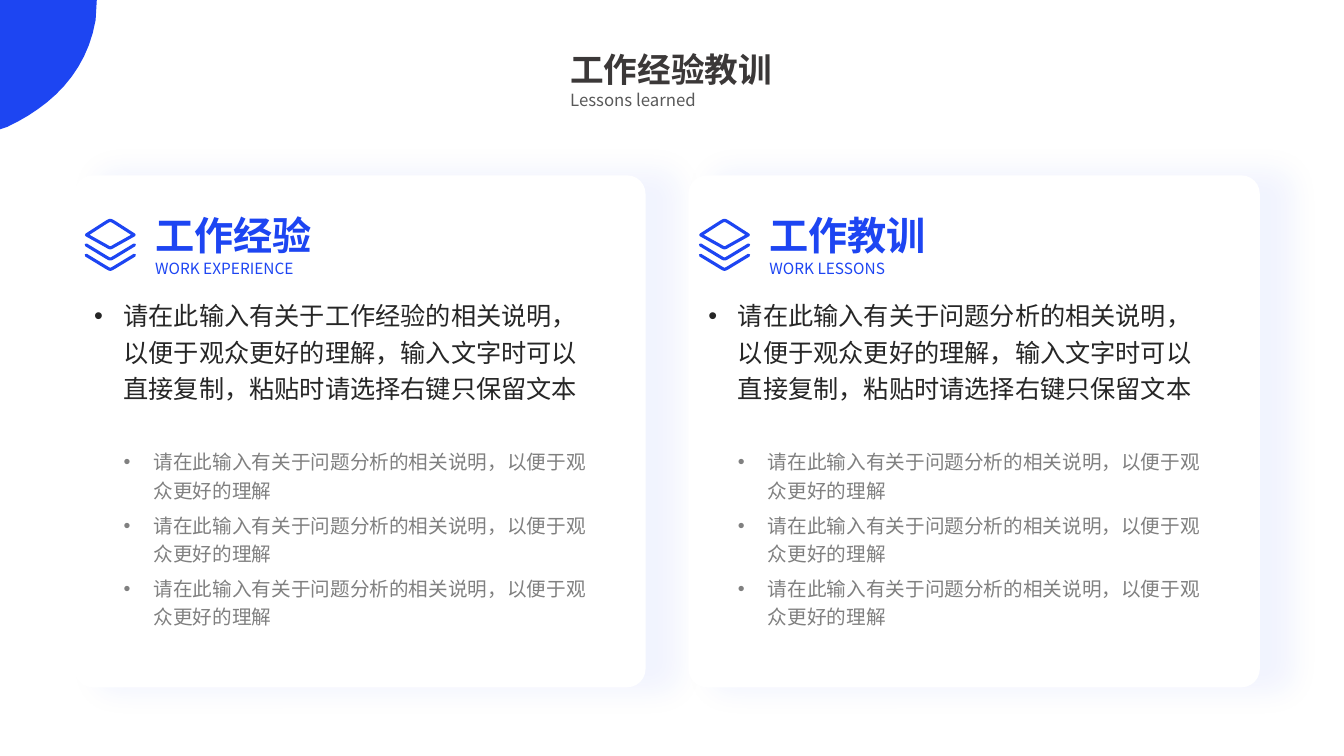
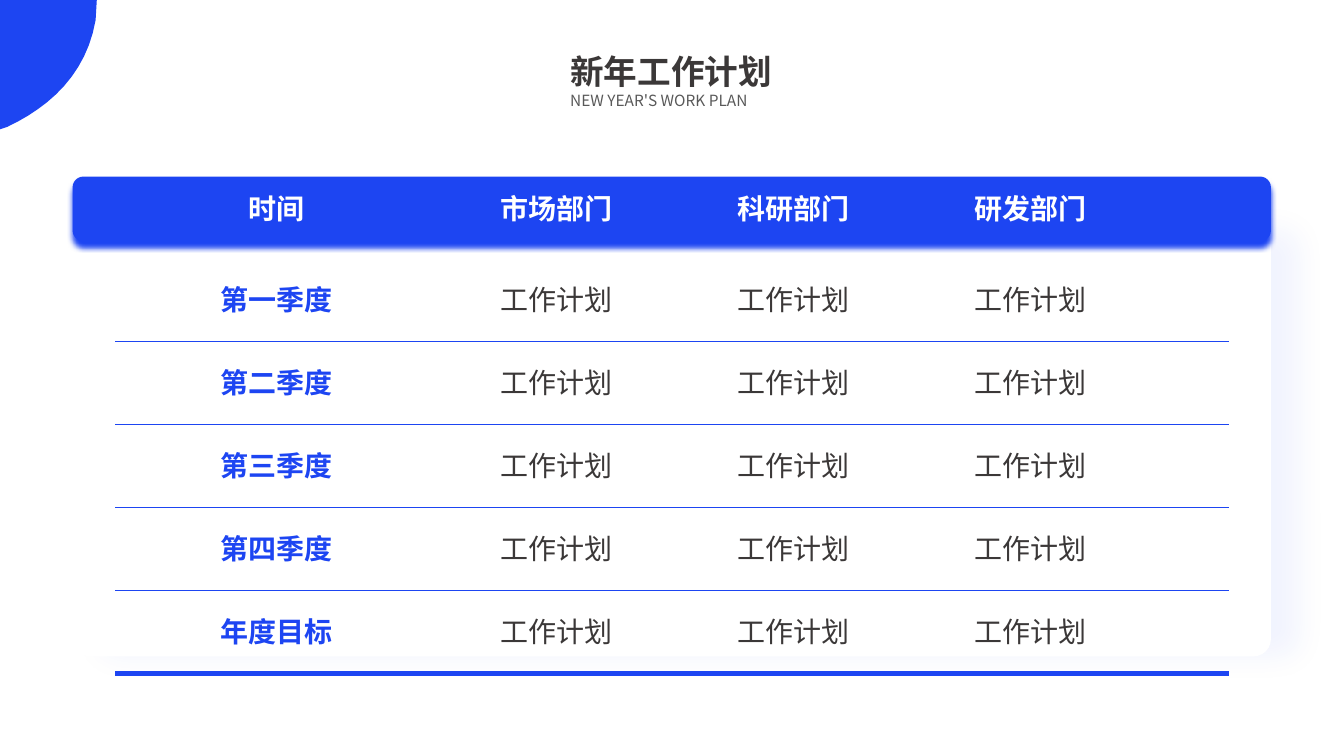
from dataclasses import dataclass

from lxml import etree
from pptx import Presentation
from pptx.dml.color import RGBColor
from pptx.enum.shapes import MSO_CONNECTOR, MSO_SHAPE
from pptx.enum.text import MSO_ANCHOR, MSO_AUTO_SIZE, PP_ALIGN
from pptx.oxml.ns import qn
from pptx.util import Cm, Pt

ROUNDED = MSO_SHAPE.ROUNDED_RECTANGLE
STRAIGHT = MSO_CONNECTOR.STRAIGHT
LEFT, CENTER = PP_ALIGN.LEFT, PP_ALIGN.CENTER
TOP, MIDDLE = MSO_ANCHOR.TOP, MSO_ANCHOR.MIDDLE
NO_AUTOFIT = MSO_AUTO_SIZE.NONE

FONT = "Noto Sans CJK SC"
BLUE = RGBColor(0x1D, 0x45, 0xF2)
WHITE = RGBColor(0xFF, 0xFF, 0xFF)
INK = RGBColor(0x3B, 0x38, 0x38)
BODY_INK = RGBColor(0x26, 0x26, 0x26)
SUBTITLE_GRAY = RGBColor(0x59, 0x59, 0x59)
DETAIL_GRAY = RGBColor(0x80, 0x80, 0x80)

CURVE_STEPS = 12
PLAIN_TABLE_STYLE = "{2D5ABB26-0587-4C30-8999-92F81FD0307C}"
DETAIL = "请在此输入有关于问题分析的相关说明，以便于观众更好的理解"


@dataclass(frozen=True)
class Shadow:
    alpha: int
    blur: float
    distance: float
    angle: int
    scale: int = 100


@dataclass(frozen=True)
class Card:
    heading: str
    caption: str
    summary: str


CARD_SHADOW = Shadow(alpha=5, blur=20, distance=20, angle=0, scale=102)
SOFT_SHADOW = Shadow(alpha=5, blur=20, distance=20, angle=0)
BAND_SHADOW = Shadow(alpha=100, blur=4, distance=4, angle=90)

CARDS = [
    Card("工作经验", "WORK EXPERIENCE",
         "请在此输入有关于工作经验的相关说明，以便于观众更好的理解，"
         "输入文字时可以直接复制，粘贴时请选择右键只保留文本"),
    Card("工作教训", "WORK LESSONS",
         "请在此输入有关于问题分析的相关说明，以便于观众更好的理解，"
         "输入文字时可以直接复制，粘贴时请选择右键只保留文本"),
]
PLAN_HEADER = ["时间", "市场部门", "科研部门", "研发部门"]
PLAN_PERIODS = ["第一季度", "第二季度", "第三季度", "第四季度", "年度目标"]
PLAN_ROWS = [PLAN_HEADER] + [[period] + ["工作计划"] * 3 for period in PLAN_PERIODS]


# Text
def write_text(paragraph, text: str, *, size: float, color: RGBColor, bold: bool = False,
               align=LEFT, line_spacing: float = 1.0, space_before: float = 0) -> None:
    paragraph.alignment = align
    paragraph.line_spacing = line_spacing
    paragraph.space_before = Pt(space_before)
    run = paragraph.add_run()
    run.text = text
    font = run.font
    font.size, font.bold, font.name = Pt(size), bold, FONT
    font.color.rgb = color
    etree.SubElement(font._element, qn("a:ea"), typeface=FONT)


def set_bullet(paragraph, margin: float, hanging: float) -> None:
    properties = paragraph._p.get_or_add_pPr()
    properties.set("marL", str(Cm(margin)))
    properties.set("indent", str(-Cm(hanging)))
    etree.SubElement(properties, qn("a:buFont"), typeface="Arial")
    etree.SubElement(properties, qn("a:buChar"), char="•")


def place(shape, left: float, top: float, width: float, height: float) -> None:
    shape.left, shape.top = Cm(left), Cm(top)
    shape.width, shape.height = Cm(width), Cm(height)


def prepare_frame(shape, anchor=TOP, inset: float | None = None):
    frame = shape.text_frame
    frame.word_wrap = True
    frame.auto_size = NO_AUTOFIT
    frame.vertical_anchor = anchor
    if inset is not None:
        frame.margin_left = frame.margin_right = Cm(inset)
        frame.margin_top = frame.margin_bottom = Cm(inset)
    return frame


def add_label(slide, left: float, top: float, width: float, height: float, text: str,
              inset: float | None = None, **text_format) -> None:
    box = slide.shapes.add_textbox(Cm(left), Cm(top), Cm(width), Cm(height))
    write_text(prepare_frame(box, inset=inset).paragraphs[0], text, **text_format)


# Shapes
def add_panel(slide, left: float, top: float, width: float, height: float,
              radius: float, color: RGBColor, shadow: Shadow) -> None:
    panel = slide.shapes.add_shape(ROUNDED, Cm(left), Cm(top), Cm(width), Cm(height))
    panel.adjustments[0] = radius
    panel.fill.solid()
    panel.fill.fore_color.rgb = color
    panel.line.fill.background()
    panel.shadow.inherit = False
    effects = panel._element.spPr.find(qn("a:effectLst"))
    scale = str(shadow.scale * 1000)
    outer = etree.SubElement(
        effects, qn("a:outerShdw"), blurRad=str(Pt(shadow.blur)), dist=str(Pt(shadow.distance)),
        dir=str(shadow.angle * 60000), sx=scale, sy=scale, algn="ctr", rotWithShape="0")
    shade = etree.SubElement(outer, qn("a:srgbClr"), val=str(BLUE))
    etree.SubElement(shade, qn("a:alpha"), val=str(shadow.alpha * 1000))


def add_rule(slide, left: float, right: float, top: float, width: float) -> None:
    rule = slide.shapes.add_connector(STRAIGHT, Cm(left), Cm(top), Cm(right), Cm(top))
    rule.line.color.rgb = BLUE
    rule.line.width = Pt(width)
    etree.SubElement(rule._element.spPr, qn("a:effectLst"))


def curve(start, control_1, control_2, end) -> list[tuple[float, float]]:
    """Points along a cubic Bezier curve."""
    points = []
    for step in range(CURVE_STEPS + 1):
        t = step / CURVE_STEPS
        weights = ((1 - t) ** 3, 3 * t * (1 - t) ** 2, 3 * t * t * (1 - t), t ** 3)
        corners = (start, control_1, control_2, end)
        points.append(tuple(sum(w * c[axis] for w, c in zip(weights, corners))
                            for axis in (0, 1)))
    return points


def add_outline(slide, points, closed: bool):
    scaled = [(Cm(x), Cm(y)) for x, y in points]
    builder = slide.shapes.build_freeform(*scaled[0])
    builder.add_line_segments(scaled[1:], close=closed)
    shape = builder.convert_to_shape()
    shape.shadow.inherit = False
    return shape


def add_layers_icon(slide, left: float, top: float) -> None:
    def bend(tip: float, direction: int):
        """Rounded middle of a layer edge; direction 1 points down."""
        shoulder = tip - 0.06 * direction
        return curve((0.55, shoulder), (0.65, tip), (0.65, tip), (0.75, shoulder))

    diamond = [(0.05, 0.4)] + bend(0.02, -1) + [(1.25, 0.4)] + bend(0.74, 1)[::-1]
    chevrons = [[(0.04, y)] + bend(y + 0.37, 1) + [(1.26, y)] for y in (0.65, 0.91)]
    for points, closed in [(diamond, True)] + [(chevron, False) for chevron in chevrons]:
        layer = add_outline(slide, [(left + x, top + y) for x, y in points], closed)
        layer.fill.background()
        layer.line.color.rgb = BLUE
        layer.line.width = Pt(2.25)
        line = layer.line._get_or_add_ln()
        line.set("cap", "rnd")
        etree.SubElement(line, qn("a:round"))


# Shared slide parts
def add_master_corner(presentation, slide) -> None:
    points = [(0, 0), (2.44, 0)]
    points += curve((2.41, 0.51), (2.18, 1.85), (1.27, 2.69), (0.18, 3.2))
    points += [(0, 3.26)]
    corner = add_outline(slide, points, closed=True)
    corner.fill.solid()
    corner.fill.fore_color.rgb = BLUE
    corner.line.fill.background()
    presentation.slide_master.shapes._spTree.insert(2, corner._element)


def add_titles(slide, title: str, subtitle: str, top: float, subtitle_size: float) -> None:
    place(slide.shapes.title, 14.12, top, 5.62, 1.17)
    frame = prepare_frame(slide.shapes.title, anchor=MIDDLE)
    write_text(frame.paragraphs[0], title, size=24, color=INK, bold=True, line_spacing=0.9)
    add_label(slide, 14.12, top + 0.91, 5.62, 0.8, subtitle,
              size=subtitle_size, color=SUBTITLE_GRAY)


# Slide 1: experience and lessons
def add_card(slide, body, card: Card, left: float) -> None:
    add_panel(slide, left, 4.42, 14.4, 12.9, 0.036, WHITE, CARD_SHADOW)
    add_layers_icon(slide, left + 0.26, 5.52)
    add_label(slide, left + 2.04, 5.33, 4.17, 1.4, card.heading, inset=0,
              size=28, color=BLUE, bold=True)
    add_label(slide, left + 2.04, 6.53, 4.17, 0.58, card.caption, inset=0, size=11, color=BLUE)

    # The placeholder lies below the panel until it is moved to the front
    slide.shapes._spTree.append(body._element)
    place(body, left + 0.25, 7.3, 13.2, 8.7)
    frame = prepare_frame(body)
    summary = frame.paragraphs[0]
    set_bullet(summary, 0.74, 0.74)
    write_text(summary, card.summary, size=18, color=BODY_INK, line_spacing=1.2)
    for space_before in (30, 5, 5):
        detail = frame.add_paragraph()
        detail.level = 1
        set_bullet(detail, 1.5, 0.76)
        write_text(detail, DETAIL, size=14, color=DETAIL_GRAY, line_spacing=1.2,
                   space_before=space_before)


def build_lessons(slide) -> None:
    for index, card in enumerate(CARDS):
        add_card(slide, slide.placeholders[index + 1], card, 1.87 + index * 15.48)
    add_titles(slide, "工作经验教训", "Lessons learned", top=1.22, subtitle_size=12)


# Slide 2: plan table
def add_plan_table(slide) -> None:
    left, top = 2.9, 4.02
    header_height, row_height = 2.5, 2.09
    last_column_padding = 2
    widths = [8.13, 5.98, 5.98, 5.98 + last_column_padding]
    heights = [header_height] + [row_height] * len(PLAN_PERIODS)
    graphic = slide.shapes.add_table(len(heights), len(widths), Cm(left), Cm(top),
                                     Cm(sum(widths)), Cm(sum(heights)))
    table = graphic.table
    table.first_row = table.horz_banding = False
    table._tbl.tblPr.find(qn("a:tableStyleId")).text = PLAIN_TABLE_STYLE
    for column, width in zip(table.columns, widths):
        column.width = Cm(width)
    for row_index, texts in enumerate(PLAN_ROWS):
        table.rows[row_index].height = Cm(heights[row_index])
        is_header = row_index == 0
        for column_index, text in enumerate(texts):
            cell = table.cell(row_index, column_index)
            cell.fill.background()
            cell.vertical_anchor = MIDDLE
            cell.margin_left = cell.margin_top = 0
            cell.margin_right = Cm(last_column_padding if column_index == 3 else 0)
            cell.margin_bottom = Cm(0.1)
            is_period = column_index == 0
            color = WHITE if is_header else BLUE if is_period else INK
            write_text(cell.text_frame.paragraphs[0], text, size=20, color=color,
                       bold=is_header or is_period, align=CENTER)

    # Rules under the periods, the last one heavier
    for number in range(1, len(heights)):
        add_rule(slide, left, left + sum(widths), top + header_height + number * row_height,
                 width=3 if number == len(PLAN_PERIODS) else 1)


def build_plan(slide) -> None:
    add_panel(slide, 1.83, 5.82, 30.2, 10.72, 0.041, WHITE, SOFT_SHADOW)
    add_panel(slide, 1.83, 4.45, 30.2, 1.63, 0.167, BLUE, BAND_SHADOW)
    add_plan_table(slide)
    add_titles(slide, "新年工作计划", "NEW YEAR'S WORK PLAN", top=1.27, subtitle_size=11)


def main() -> None:
    presentation = Presentation()
    presentation.slide_width, presentation.slide_height = Cm(33.87), Cm(19.05)
    two_content, title_only = presentation.slide_layouts[3], presentation.slide_layouts[5]
    lessons = presentation.slides.add_slide(two_content)
    add_master_corner(presentation, lessons)
    build_lessons(lessons)
    build_plan(presentation.slides.add_slide(title_only))
    presentation.save("out.pptx")


if __name__ == "__main__":
    main()
